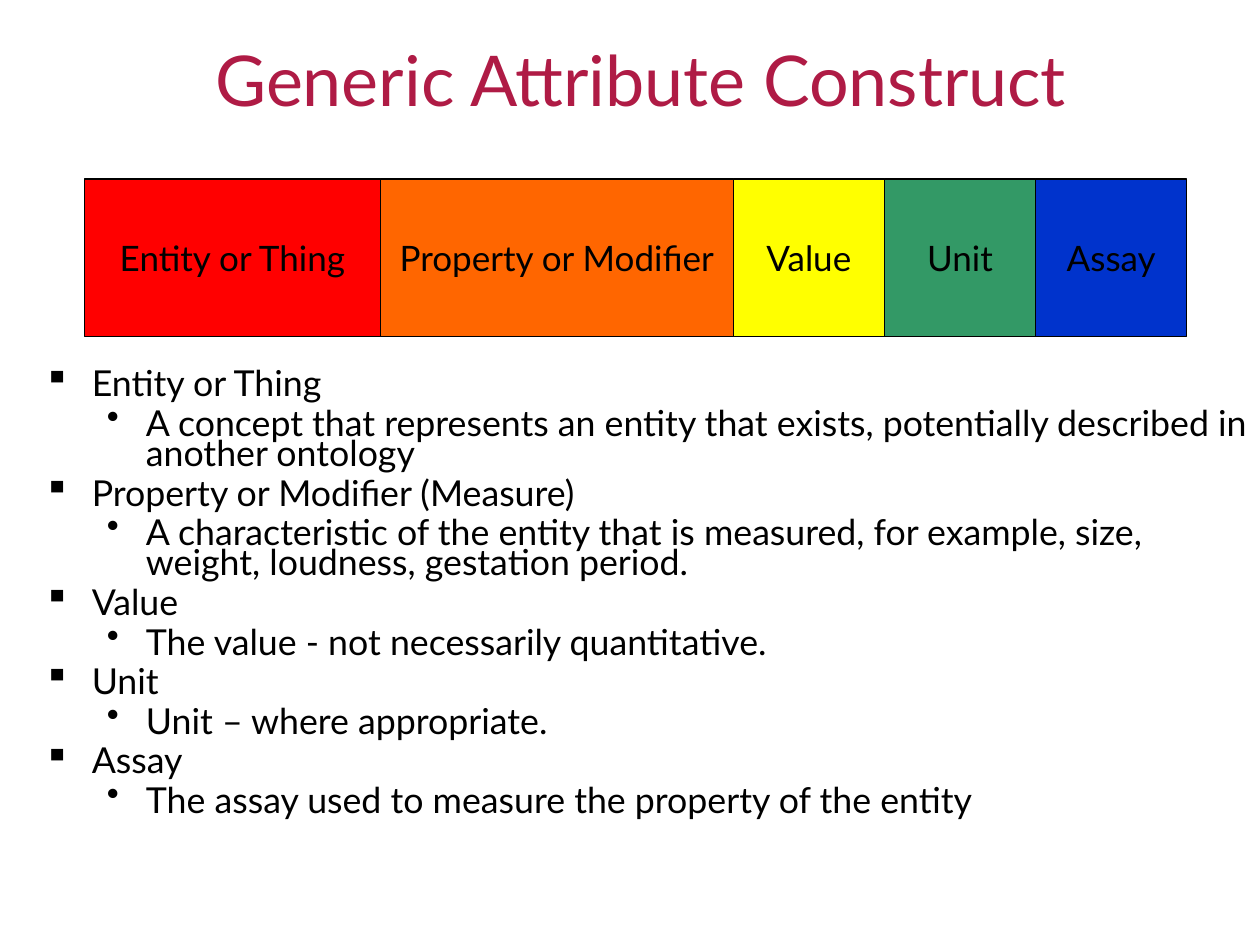
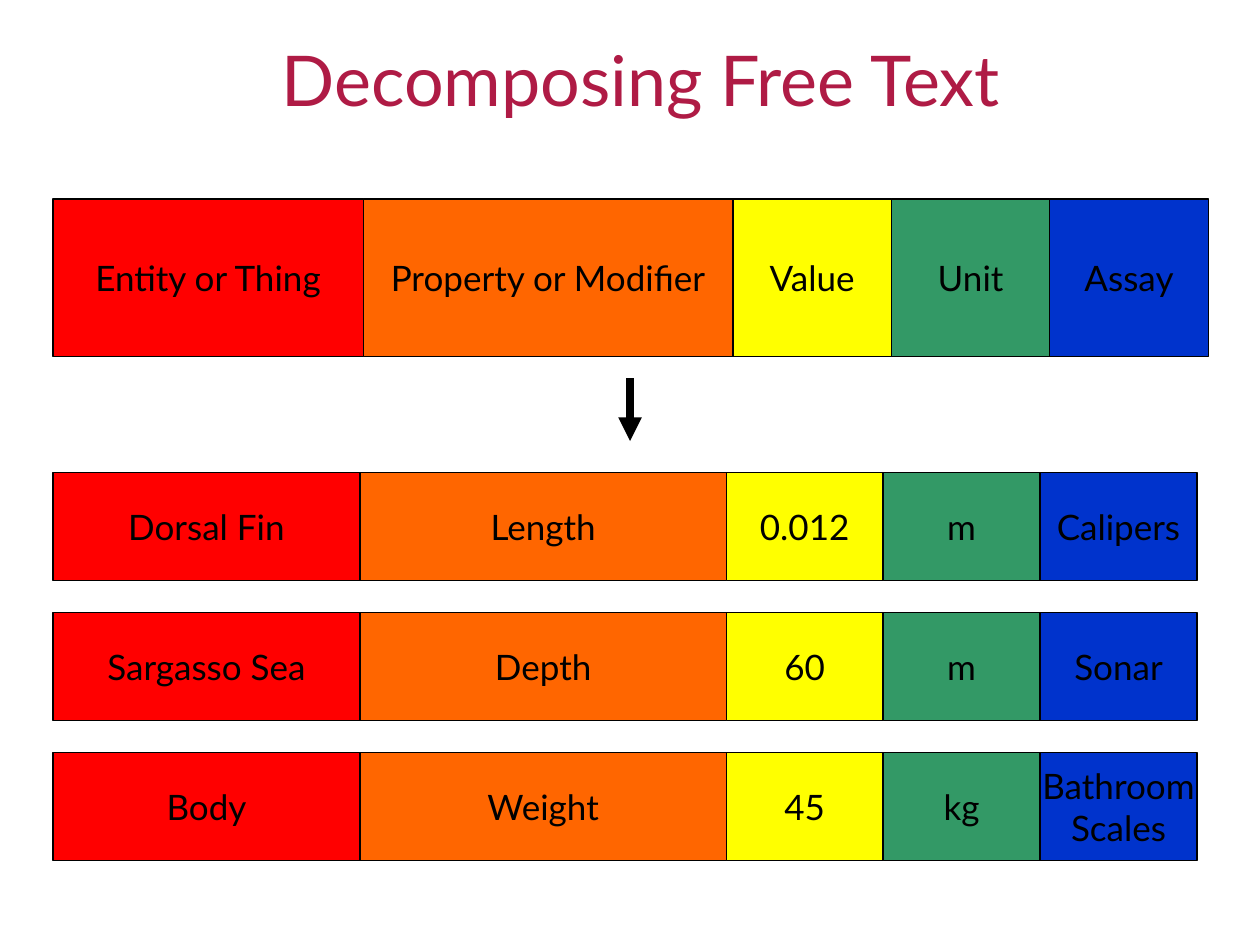
from itertools import accumulate

from lxml.etree import SubElement
from pptx import Presentation
from pptx.dml.color import RGBColor
from pptx.enum.shapes import MSO_CONNECTOR, MSO_SHAPE
from pptx.enum.text import MSO_ANCHOR, MSO_AUTO_SIZE, PP_ALIGN
from pptx.oxml.ns import qn
from pptx.util import Inches, Pt

FONT = "Lato"
BLACK = "000000"
TITLE_COLOR = "AF1B45"
COLUMN_COLORS = ["FF0000", "FF6600", "FFFF00", "339966", "0033CC"]
COLUMN_WIDTHS = [2.35, 2.8, 1.2, 1.2, 1.2]
HEADINGS = ["Entity or Thing", "Property or Modifier", "Value", "Unit", "Assay"]
BULLETS = [("▪", 0.38, 0.38), ("•", 0.81, 0.31)]

DEFINITIONS = [
    ("Entity or Thing", "A concept that represents an entity that exists, "
     "potentially described in another ontology"),
    ("Property or Modifier (Measure)", "A characteristic of the entity that is measured, "
     "for example, size, weight, loudness, gestation period."),
    ("Value", "The value - not necessarily quantitative."),
    ("Unit", "Unit – where appropriate."),
    ("Assay", "The assay used to measure the property of the entity"),
]
EXAMPLES = [
    ["Dorsal Fin", "Length", "0.012", "m", "Calipers"],
    ["Sargasso Sea", "Depth", "60", "m", "Sonar"],
    ["Body", "Weight", "45", "kg", "Bathroom\nScales"],
]


def rgb(value):
    return RGBColor.from_string(value)


class Deck:
    def __init__(self):
        self.prs = Presentation()
        self.prs.slide_width, self.prs.slide_height = Inches(10), Inches(7.5)

    def run(self, p, text, size, color=BLACK):
        r = p.add_run()
        r.text = text
        r.font.name, r.font.size = FONT, Pt(size)
        r.font.color.rgb = rgb(color)

    def slide(self, title):
        self.s = self.prs.slides.add_slide(self.prs.slide_layouts[5])
        sp = self.s.shapes.title
        sp.left, sp.top = Inches(0.5), Inches(0)
        sp.width, sp.height = Inches(9.17), Inches(1.25)
        tf = sp.text_frame
        tf.auto_size = MSO_AUTO_SIZE.NONE
        tf.vertical_anchor = MSO_ANCHOR.MIDDLE
        p = tf.paragraphs[0]
        p.alignment = PP_ALIGN.CENTER
        self.run(p, title, 40, TITLE_COLOR)

    def cell(self, group, text, color, left, top, width, height):
        sp = group.shapes.add_shape(MSO_SHAPE.RECTANGLE, Inches(left), Inches(top),
                                    Inches(width), Inches(height))
        sp.shadow.inherit = False
        sp.fill.solid()
        sp.fill.fore_color.rgb = rgb(color)
        sp.line.color.rgb = rgb(BLACK)
        sp.line.width = Pt(0.75)
        tf = sp.text_frame
        tf.word_wrap = False
        tf.vertical_anchor = MSO_ANCHOR.MIDDLE
        for i, line in enumerate(text.split("\n")):
            p = tf.add_paragraph() if i else tf.paragraphs[0]
            p.alignment = PP_ALIGN.CENTER
            self.run(p, line, 20)

    def row(self, texts, left, top, width, height):
        group = self.s.shapes.add_group_shape()
        scale = width / sum(COLUMN_WIDTHS)
        widths = [w * scale for w in COLUMN_WIDTHS]
        lefts = accumulate(widths[:-1], initial=left)
        for text, color, x, w in zip(texts, COLUMN_COLORS, lefts, widths):
            self.cell(group, text, color, x, top, w, height)

    def outline(self, items, left, top, width, height):
        tf = self.s.shapes.add_textbox(Inches(left), Inches(top),
                                       Inches(width), Inches(height)).text_frame
        tf.word_wrap = True
        tf.margin_right = Inches(0.08)
        for i, (level, text) in enumerate(items):
            p = tf.add_paragraph() if i else tf.paragraphs[0]
            char, margin, hanging = BULLETS[level]
            p.level = level
            pPr = p._p.get_or_add_pPr()
            pPr.set("marL", str(Inches(margin)))
            pPr.set("indent", str(-Inches(hanging)))
            SubElement(pPr, qn("a:buChar")).set("char", char)
            p.line_spacing = 0.7
            if i:
                p.space_before = Pt(5.5)
            self.run(p, text, 20.4)

    def arrow(self, x1, y1, x2, y2):
        line = self.s.shapes.add_connector(MSO_CONNECTOR.STRAIGHT, Inches(x1), Inches(y1),
                                           Inches(x2), Inches(y2))
        line.line.color.rgb = rgb(BLACK)
        line.line.width = Pt(4.5)
        SubElement(line.line._get_or_add_ln(), qn("a:tailEnd")).set("type", "triangle")
        SubElement(line._element.spPr, qn("a:effectLst"))


def main():
    deck = Deck()

    deck.slide("Generic Attribute Construct")
    deck.row(HEADINGS, 0.67, 1.42, 8.75, 1.25)
    items = [(level, text) for pair in DEFINITIONS for level, text in enumerate(pair)]
    deck.outline(items, 0.25, 2.91, 9.75, 3.76)

    deck.slide("Decomposing Free Text")
    deck.row(HEADINGS, 0.42, 1.58, 9.17, 1.25)
    deck.arrow(5, 3, 5, 3.5)
    for i, example in enumerate(EXAMPLES):
        deck.row(example, 0.42, 3.75 + 1.11 * i, 9.08, 0.86)

    deck.prs.save("out.pptx")


if __name__ == "__main__":
    main()
